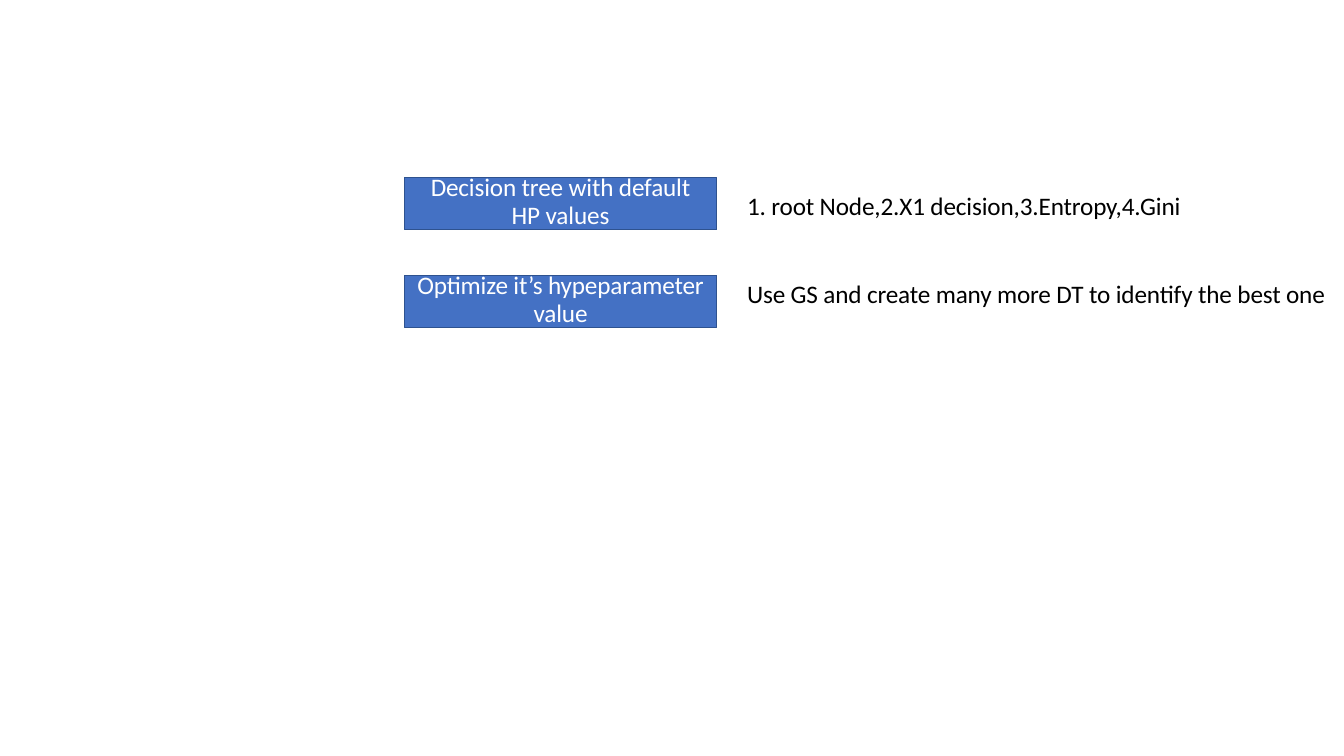
from dataclasses import dataclass

import pptx
import pptx.dml.color
import pptx.enum.shapes
import pptx.enum.text
import pptx.slide
import pptx.text.text
import pptx.util

Inches = pptx.util.Inches
Pt = pptx.util.Pt
RGBColor = pptx.dml.color.RGBColor

BOX_FILL = RGBColor(0x44, 0x71, 0xC4)
BOX_LINE = RGBColor(0x2E, 0x52, 0x8F)
WHITE = RGBColor(0xFF, 0xFF, 0xFF)
BLACK = RGBColor(0x00, 0x00, 0x00)

BOX_LEFT, BOX_WIDTH, BOX_HEIGHT = 4.01, 3.1, 0.52
NOTE_LEFT, NOTE_HEIGHT = 7.41, 0.33
LINE_SPACINGS = (17.6, 19.9)


@dataclass(frozen=True)
class Step:
    box_top: float
    box_lines: tuple[str, str]
    note_top: float
    note_width: float
    note: str


STEPS = (
    Step(1.76, ("Decision tree with default", "HP values"),
         1.88, 4.39, "1. root Node,2.X1 decision,3.Entropy,4.Gini"),
    Step(2.73, ("Optimize it’s hypeparameter", "value"),
         2.75, 5.85, "Use GS and create many more DT to identify the best one"),
)


def prepare_frame(frame: pptx.text.text.TextFrame, margin_top: float) -> None:
    frame.word_wrap = True
    frame.vertical_anchor = pptx.enum.text.MSO_ANCHOR.TOP
    frame.margin_left = frame.margin_right = frame.margin_bottom = 0
    frame.margin_top = Inches(margin_top)


def write_paragraph(paragraph: pptx.text.text._Paragraph, text: str, color: RGBColor) -> None:
    """Write slightly condensed 18 pt text."""
    run = paragraph.add_run()
    run.text = text
    run._r.get_or_add_rPr().set("spc", "-10")
    paragraph.font.name = "Calibri"
    paragraph.font.size = Pt(18)
    paragraph.font.color.rgb = color


def add_box(slide: pptx.slide.Slide, step: Step) -> None:
    box = slide.shapes.add_shape(
        pptx.enum.shapes.MSO_SHAPE.RECTANGLE,
        Inches(BOX_LEFT), Inches(step.box_top), Inches(BOX_WIDTH), Inches(BOX_HEIGHT))
    box.shadow.inherit = False
    box.fill.solid()
    box.fill.fore_color.rgb = BOX_FILL
    box.line.color.rgb = BOX_LINE
    box.line.width = Pt(0.96)
    frame = box.text_frame
    prepare_frame(frame, 0)
    frame.add_paragraph()
    for paragraph, text, spacing in zip(frame.paragraphs, step.box_lines, LINE_SPACINGS):
        write_paragraph(paragraph, text, WHITE)
        paragraph.alignment = pptx.enum.text.PP_ALIGN.CENTER
        paragraph.line_spacing = Pt(spacing)


def add_note(slide: pptx.slide.Slide, step: Step) -> None:
    note = slide.shapes.add_textbox(
        Inches(NOTE_LEFT), Inches(step.note_top), Inches(step.note_width), Inches(NOTE_HEIGHT))
    prepare_frame(note.text_frame, 0.01)
    paragraph = note.text_frame.paragraphs[0]
    write_paragraph(paragraph, step.note, BLACK)
    paragraph.space_before = Pt(1)


def main() -> None:
    presentation = pptx.Presentation()
    presentation.slide_width = Inches(13.33)
    presentation.slide_height = Inches(7.5)
    slide = presentation.slides.add_slide(presentation.slide_layouts[6])
    for step in STEPS:
        add_box(slide, step)
        add_note(slide, step)
    presentation.save("out.pptx")


if __name__ == "__main__":
    main()
